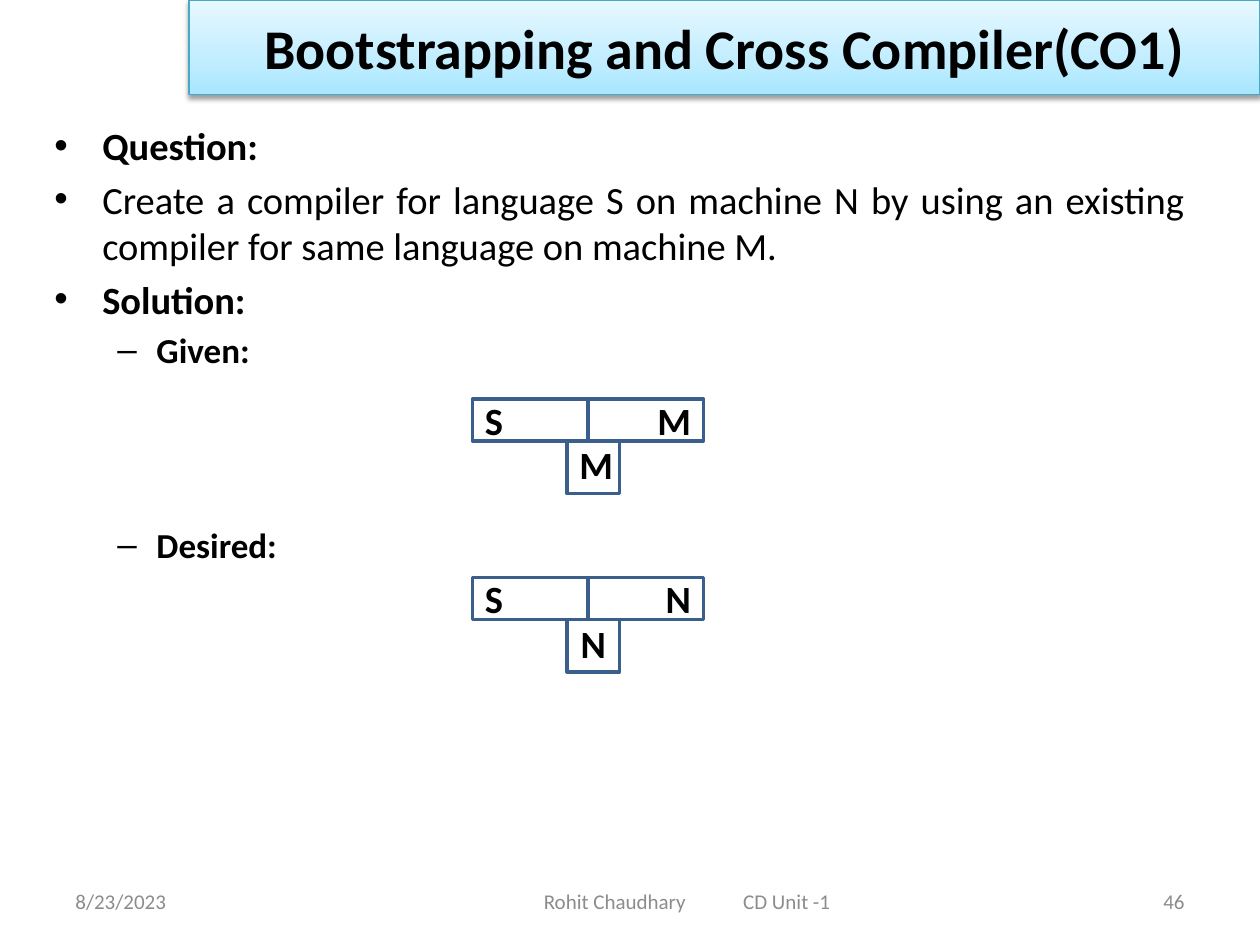
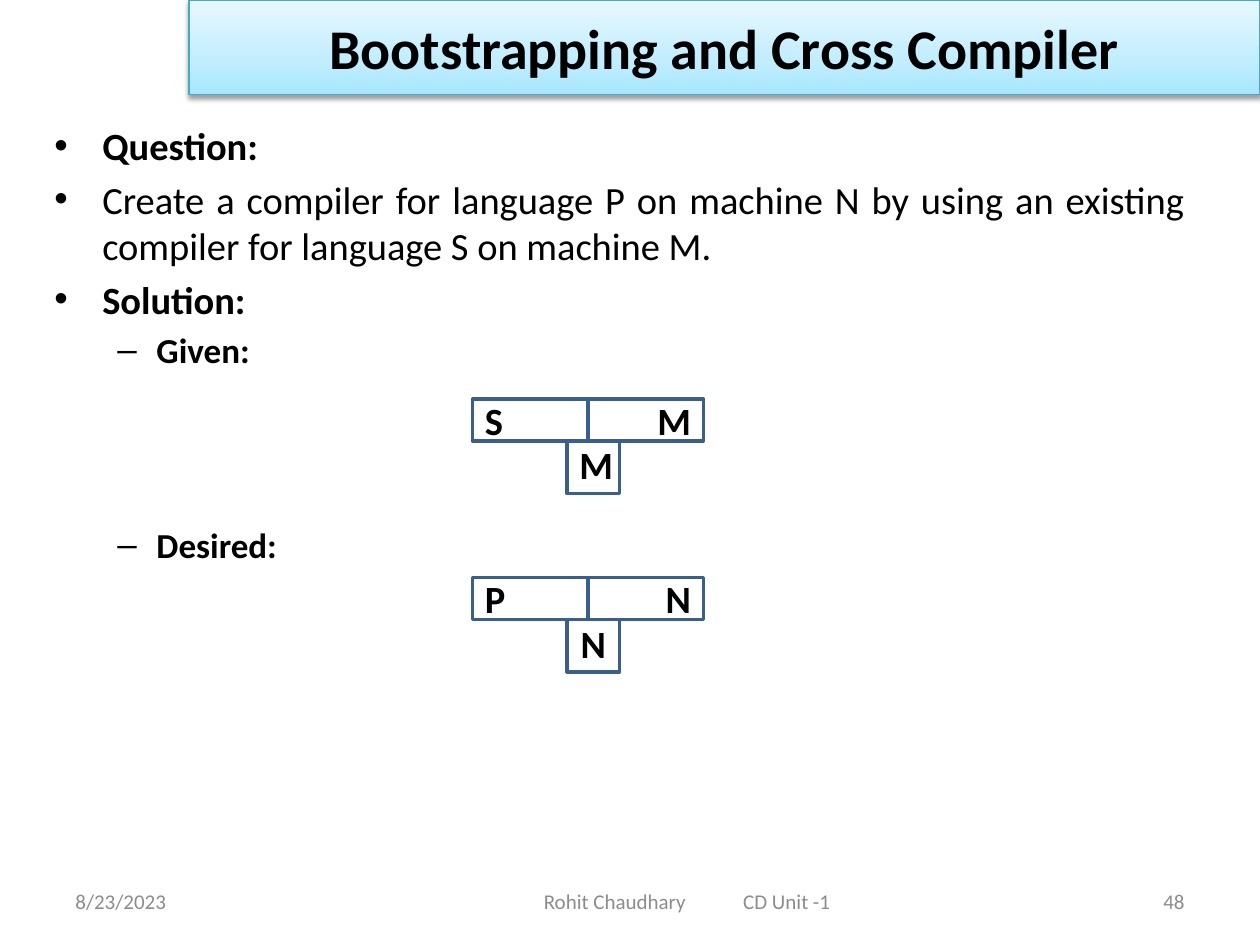
from copy import deepcopy

from lxml import etree
from pptx import Presentation
from pptx.dml.color import RGBColor
from pptx.enum.shapes import MSO_SHAPE
from pptx.enum.text import MSO_ANCHOR, MSO_AUTO_SIZE, PP_ALIGN
from pptx.oxml.ns import qn
from pptx.util import Inches, Pt

RECTANGLE = MSO_SHAPE.RECTANGLE
MIDDLE, BOTTOM = MSO_ANCHOR.MIDDLE, MSO_ANCHOR.BOTTOM
LEFT, CENTER, RIGHT = PP_ALIGN.LEFT, PP_ALIGN.CENTER, PP_ALIGN.RIGHT
JUSTIFY = PP_ALIGN.JUSTIFY

FONT = "Calibri"
BLACK, GREY = "000000", "8C8C8C"
BAND_LINE, CELL_LINE = "46AAC5", "3A5F8C"
BAND_STOPS = [(0, "A7E6FF"), (0.35, "C1EDFF"), (1, "E7F8FF")]

# Grid of twelve units to the inch
COLUMNS, ROWS = 120, 90
WIDTH, HEIGHT = Inches(10), Inches(7.5)

# Level: bullet, left margin and hanging indent in inches, text size
BULLETS = {0: ("•", 0.38, 0.38, 22), 1: ("–", 0.81, 0.31, 20)}
DIAGRAM_GAP = 87  # points left between the two sub-headings


def color(hex_string):
    return RGBColor.from_string(hex_string)


class SlideBuilder:
    """Holds the deck, its style and the slide being built."""

    def __init__(self):
        self.deck = Presentation()
        self.deck.slide_width, self.deck.slide_height = WIDTH, HEIGHT
        self.page = None

    def new_slide(self):
        self.page = self.deck.slides.add_slide(self.deck.slide_layouts[5])

    def area(self, column, row, columns, rows):
        """Turn grid units into left, top, width and height."""
        across, down = WIDTH / COLUMNS, HEIGHT / ROWS
        return (int(column * across), int(row * down),
                int(columns * across), int(rows * down))

    def style(self, paragraph, size, hex_string=BLACK, bold=False, align=LEFT):
        paragraph.alignment = align
        for span in paragraph.runs:
            span.font.name = FONT
            span.font.size = Pt(size)
            span.font.bold = bold
            span.font.color.rgb = color(hex_string)

    def title(self, text):
        band = self.page.shapes.title
        band.left, band.top, band.width, band.height = self.area(18, 0, 102, 9)
        frame = band.text_frame
        frame.text = text
        frame.auto_size = MSO_AUTO_SIZE.NONE
        frame.vertical_anchor = MIDDLE
        self.style(frame.paragraphs[0], 32, bold=True, align=CENTER)
        self.band_gradient(band)
        band.line.color.rgb = color(BAND_LINE)
        band.line.width = Pt(0.75)
        self.band_shadow(band)

    def band_gradient(self, band):
        band.fill.gradient()
        band.fill.gradient_angle = 90
        stop_list = band.element.spPr.find(".//" + qn("a:gsLst"))
        stop_list.append(deepcopy(stop_list[-1]))
        for stop, (position, hex_string) in zip(band.fill.gradient_stops, BAND_STOPS):
            stop.position = position
            stop.color.rgb = color(hex_string)

    def band_shadow(self, band):
        effects = etree.SubElement(band.element.spPr, qn("a:effectLst"))
        shadow = etree.SubElement(
            effects, qn("a:outerShdw"), blurRad=str(Pt(3.1)), dist=str(Pt(1.6)),
            dir="5400000", rotWithShape="0")
        shade = etree.SubElement(shadow, qn("a:srgbClr"), val=BLACK)
        etree.SubElement(shade, qn("a:alpha"), val="38000")

    def label(self, text, column, columns, align):
        box = self.page.shapes.add_textbox(*self.area(column, 83.4, columns, 4.8))
        frame = box.text_frame
        frame.word_wrap = True
        frame.vertical_anchor = MIDDLE
        frame.text = text
        self.style(frame.paragraphs[0], 12, GREY, align=align)

    def footer(self, number):
        self.label("8/23/2023", 6, 28, LEFT)
        self.label("Rohit Chaudhary", 36.5, 30, RIGHT)
        self.label("CD Unit -1", 69.6, 20, LEFT)
        self.label(str(number), 86, 28, RIGHT)

    def bullets(self, items):
        """Write (text, level, bold, space before) items as a bulleted list."""
        box = self.page.shapes.add_textbox(*self.area(4, 11, 110, 69.4))
        frame = box.text_frame
        frame.word_wrap = True
        frame.text = "\n".join(item[0] for item in items)
        for paragraph, (_, level, bold, space) in zip(frame.paragraphs, items):
            bullet, margin, hanging, size = BULLETS[level]
            paragraph.level = level
            properties = paragraph._p.get_or_add_pPr()
            properties.set("marL", str(Inches(margin)))
            properties.set("indent", str(-Inches(hanging)))
            etree.SubElement(properties, qn("a:buFont"), typeface="Arial")
            etree.SubElement(properties, qn("a:buChar"), char=bullet)
            paragraph.space_before = Pt(space)
            self.style(paragraph, size, bold=bold, align=JUSTIFY)

    def cell(self, text, place, align, anchor=MIDDLE):
        box = self.page.shapes.add_shape(RECTANGLE, *self.area(*place))
        box.shadow.inherit = False
        box.fill.background()
        box.line.color.rgb = color(CELL_LINE)
        box.line.width = Pt(2)
        frame = box.text_frame
        frame.text = text
        frame.vertical_anchor = anchor
        self.style(frame.paragraphs[0], 22, bold=True, align=align)

    def t_diagram(self, row, source, target, machine):
        """Draw a compiler as a T: source and target on top, machine below."""
        column, arm, height, stem = 45, 11, 4, 5
        self.cell(source, (column, row, arm, height), LEFT)
        self.cell(target, (column + arm, row, arm, height), RIGHT)
        self.cell(machine, (column + 9, row + height, stem, stem), CENTER, BOTTOM)


def main():
    builder = SlideBuilder()
    slides = [
        ("Bootstrapping and Cross Compiler(CO1)", "S", "same language", 46),
        ("Bootstrapping and Cross Compiler", "P", "language S", 48),
    ]
    for title, language, existing, number in slides:
        builder.new_slide()
        builder.title(title)
        builder.bullets([
            ("Question:", 0, True, 0),
            (f"Create a compiler for language {language} on machine N by using "
             f"an existing compiler for {existing} on machine M.", 0, False, 4.4),
            ("Solution:", 0, True, 4.4),
            ("Given:", 1, True, 4),
            ("Desired:", 1, True, DIAGRAM_GAP),
        ])
        builder.t_diagram(38, "S", "M", "M")
        builder.t_diagram(55, language, "N", "N")
        builder.footer(number)
    builder.deck.save("out.pptx")


if __name__ == "__main__":
    main()
